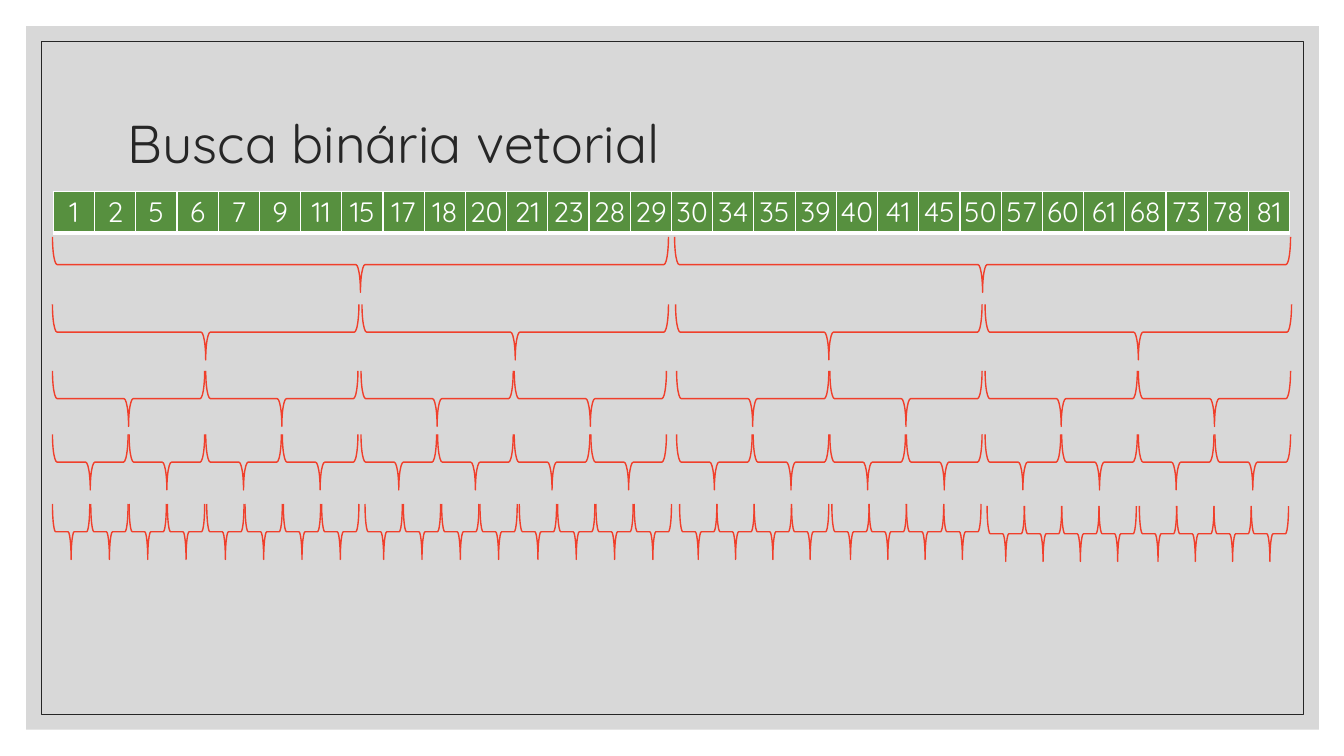
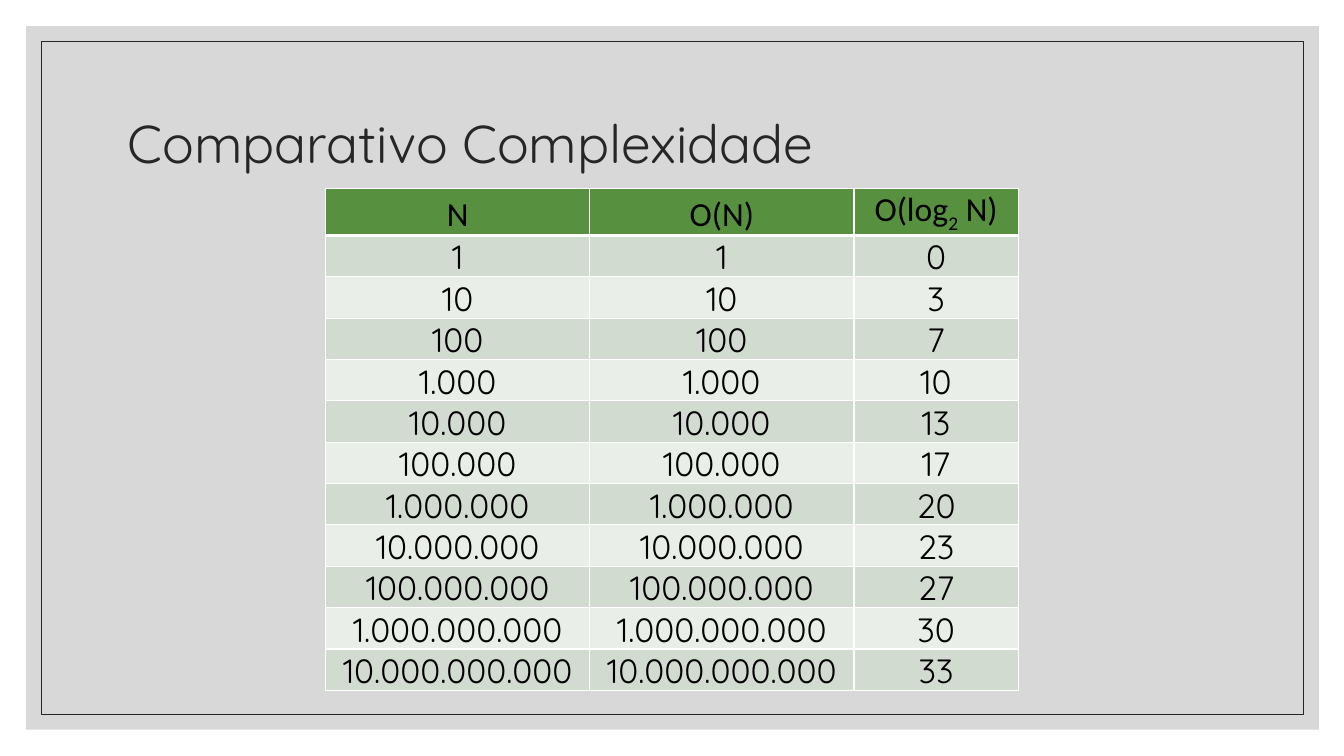
from lxml.etree import SubElement
from pptx import Presentation
from pptx.dml.color import RGBColor
from pptx.enum.shapes import MSO_SHAPE as Shape
from pptx.enum.text import MSO_ANCHOR as Anchor, PP_ALIGN as Align
from pptx.oxml.ns import qn
from pptx.util import Inches, Pt

COLORS = {
    "panel": "BFBFBF",
    "ink": "262626",
    "black": "000000",
    "white": "FFFFFF",
    "green": "57903F",
    "band_dark": "D1DBCF",
    "band_light": "EAEEE8",
    "brace": "F03F2B",
}
FONT = "Quicksand"
HEADER_FONT = "Calibri"
BRACE_HEIGHT = 0.55


def color(name):
    """Return the named colour."""
    return RGBColor.from_string(COLORS[name])


class Deck:
    """Holds the style, the presentation and the current slide."""

    def __init__(self):
        """Start an empty wide presentation."""
        self.presentation = Presentation()
        self.presentation.slide_width = Inches(13.33)
        self.presentation.slide_height = Inches(7.5)
        self.slide = None

    def new_slide(self, title):
        """Add a slide with the grey panel, the thin frame and a title."""
        self.slide = self.presentation.slides.add_slide(self.presentation.slide_layouts[6])
        panel = self.shape(self.slide.shapes, Shape.RECTANGLE, 0.26, 0.26, 12.82, 6.98)
        panel.fill.solid()
        panel.fill.fore_color.rgb = color("panel")
        panel_color = panel.fill._xPr.find(qn("a:solidFill"))[0]
        SubElement(panel_color, qn("a:alpha"), val="60000")
        self.shape(self.slide.shapes, Shape.RECTANGLE, 0.41, 0.41, 12.52, 6.68, "ink", 0.5)
        self.title(title)

    def shape(self, shapes, kind, left, top, width, height, line=None, line_width=1):
        """Add an unfilled preset shape, outlined when a line colour is given."""
        shape = shapes.add_shape(kind, Inches(left), Inches(top), Inches(width), Inches(height))
        shape.shadow.inherit = False
        shape.fill.background()
        if line:
            shape.line.color.rgb = color(line)
            shape.line.width = Pt(line_width)
        else:
            shape.line.fill.background()
        return shape

    def run(self, paragraph, text, size, ink, font=FONT):
        """Add one styled run to a paragraph."""
        run = paragraph.add_run()
        run.text = text
        run.font.size = Pt(size)
        run.font.name = font
        run.font.color.rgb = color(ink)
        return run

    def title(self, text):
        """Add the slide title."""
        box = self.slide.shapes.add_textbox(Inches(1.17), Inches(0.7), Inches(11), Inches(1.5))
        frame = box.text_frame
        frame.word_wrap = True
        frame.vertical_anchor = Anchor.MIDDLE
        paragraph = frame.paragraphs[0]
        paragraph.line_spacing = 0.9
        self.run(paragraph, text, 38, "ink")

    def table(self, left, top, column_widths, row_height, row_count):
        """Add a plain table without the automatic header and bands."""
        frame = self.slide.shapes.add_table(
            row_count, len(column_widths), Inches(left), Inches(top),
            Inches(sum(column_widths)), Inches(row_height * row_count))
        table = frame.table
        table.first_row = table.horz_banding = False
        for column, width in zip(table.columns, column_widths):
            column.width = Inches(width)
        return table

    def cell(self, cell, fill, anchor, margin=0, bottom_border=1):
        """Style a cell and return its centred paragraph."""
        properties = cell._tc.get_or_add_tcPr()
        for side, width in (("L", 1), ("R", 1), ("T", 1), ("B", bottom_border)):
            border = SubElement(properties, qn(f"a:ln{side}"), w=str(Pt(width)))
            solid = SubElement(border, qn("a:solidFill"))
            SubElement(solid, qn("a:srgbClr"), val=COLORS["white"])
        cell.fill.solid()
        cell.fill.fore_color.rgb = color(fill)
        cell.vertical_anchor = anchor
        cell.margin_left = cell.margin_right = cell.margin_top = Inches(margin)
        cell.margin_bottom = 0
        paragraph = cell.text_frame.paragraphs[0]
        paragraph.alignment = Align.CENTER
        return paragraph

    def brace_level(self, span, step, count, middle_gap, blocks):
        """Group the braces of one halving level; a block is its (left, top)."""
        group = self.slide.shapes.add_group_shape()
        for block_left, top in blocks:
            for index in range(count):
                center = block_left + index * step + span / 2
                if index >= count / 2:
                    center += middle_gap
                brace = self.shape(
                    group.shapes, Shape.RIGHT_BRACE, center - BRACE_HEIGHT / 2,
                    top + (BRACE_HEIGHT - span) / 2, BRACE_HEIGHT, span, "brace")
                brace.rotation = 90


def build_search_slide(deck):
    """Show the sorted vector and its successive halves."""
    deck.new_slide("Busca binária vetorial")
    values = [1, 2, 5, 6, 7, 9, 11, 15, 17, 18, 20, 21, 23, 28, 29,
              30, 34, 35, 39, 40, 41, 45, 50, 57, 60, 61, 68, 73, 78, 81]
    vector = deck.table(0.53, 1.9, [12.27 / len(values)] * len(values), 0.41, 1)
    for index, value in enumerate(values):
        paragraph = deck.cell(vector.cell(0, index), "green", Anchor.MIDDLE, bottom_border=3)
        deck.run(paragraph, str(value), 20, "white")

    levels = [
        (6.11, 6.17, 2, 0, [(0.52, 2.35)]),
        (3.04, 3.07, 2, 0, [(0.52, 3.02), (6.7, 3.02)]),
        (1.51, 1.52, 4, 0.02, [(0.52, 3.68), (6.71, 3.68)]),
        (0.75, 0.76, 8, 0.02, [(0.52, 4.31), (6.71, 4.31)]),
        (0.37, 0.38, 8, 0.01, [(0.52, 5), (3.62, 5)]),
        (0.37, 0.37, 8, 0.03, [(6.74, 5), (9.79, 5.02)]),
    ]
    for level in levels:
        deck.brace_level(*level)


def build_complexity_slide(deck):
    """Compare linear and logarithmic growth."""
    deck.new_slide("Comparativo Complexidade")
    logarithms = [0, 3, 7, 10, 13, 17, 20, 23, 27, 30, 33]
    table = deck.table(3.23, 1.87, [2.62, 2.62, 1.63], 0.41, len(logarithms) + 1)
    headers = [["N"], ["O(N)"], ["O(log", "2", " N)"]]
    for column, parts in enumerate(headers):
        paragraph = deck.cell(table.cell(0, column), "green", Anchor.BOTTOM, 0.01, 3)
        for part in parts:
            run = deck.run(paragraph, part, 24, "black", HEADER_FONT)
            if part == "2":
                run._r.get_or_add_rPr().set("baseline", "-25000")

    for power, logarithm in enumerate(logarithms):
        size = f"{10 ** power:,}".replace(",", ".")
        fill = "band_light" if power % 2 else "band_dark"
        for column, text in enumerate([size, size, str(logarithm)]):
            paragraph = deck.cell(table.cell(power + 1, column), fill, Anchor.BOTTOM, 0.01)
            deck.run(paragraph, text, 24, "black")


deck = Deck()
build_search_slide(deck)
build_complexity_slide(deck)
deck.presentation.save("out.pptx")
